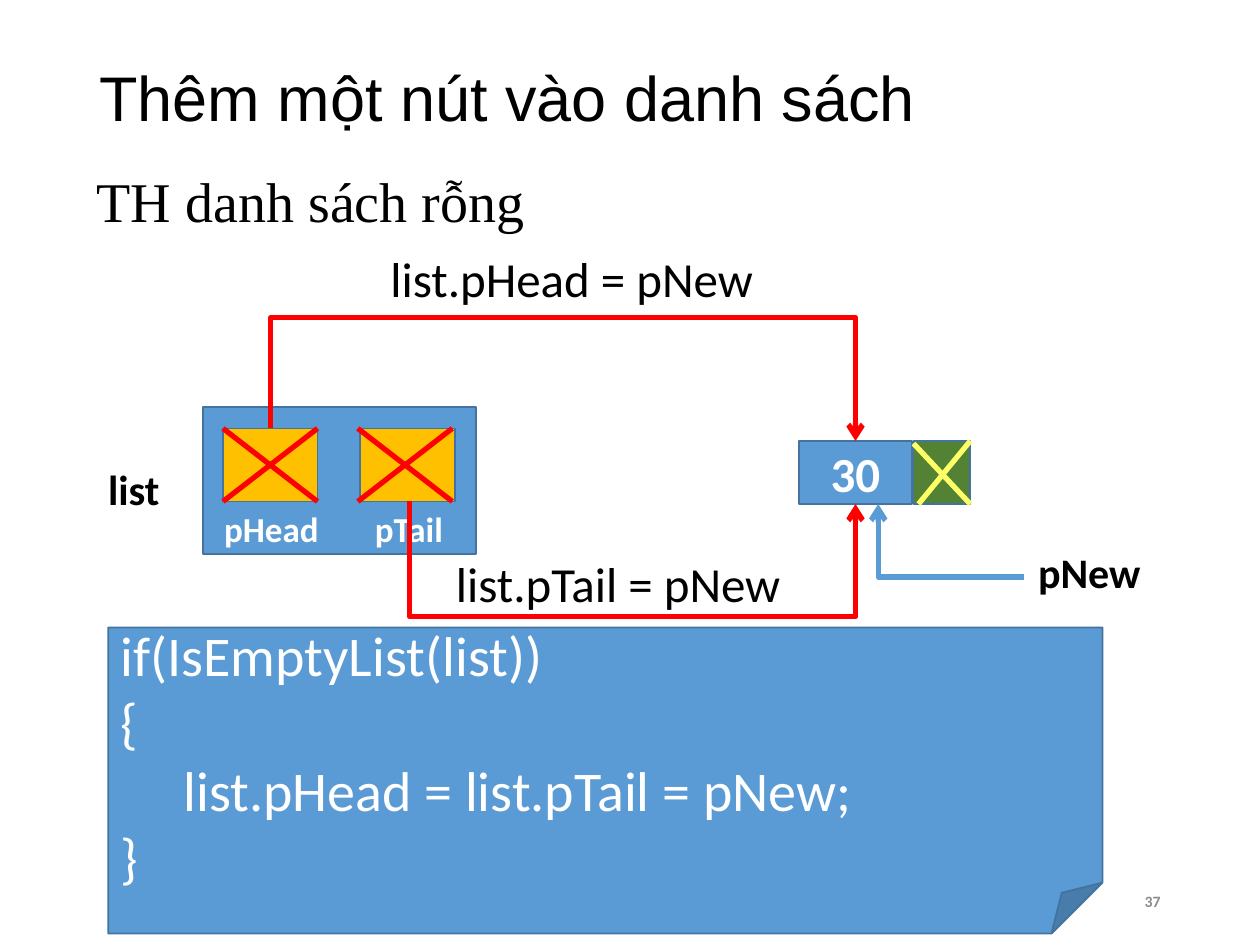
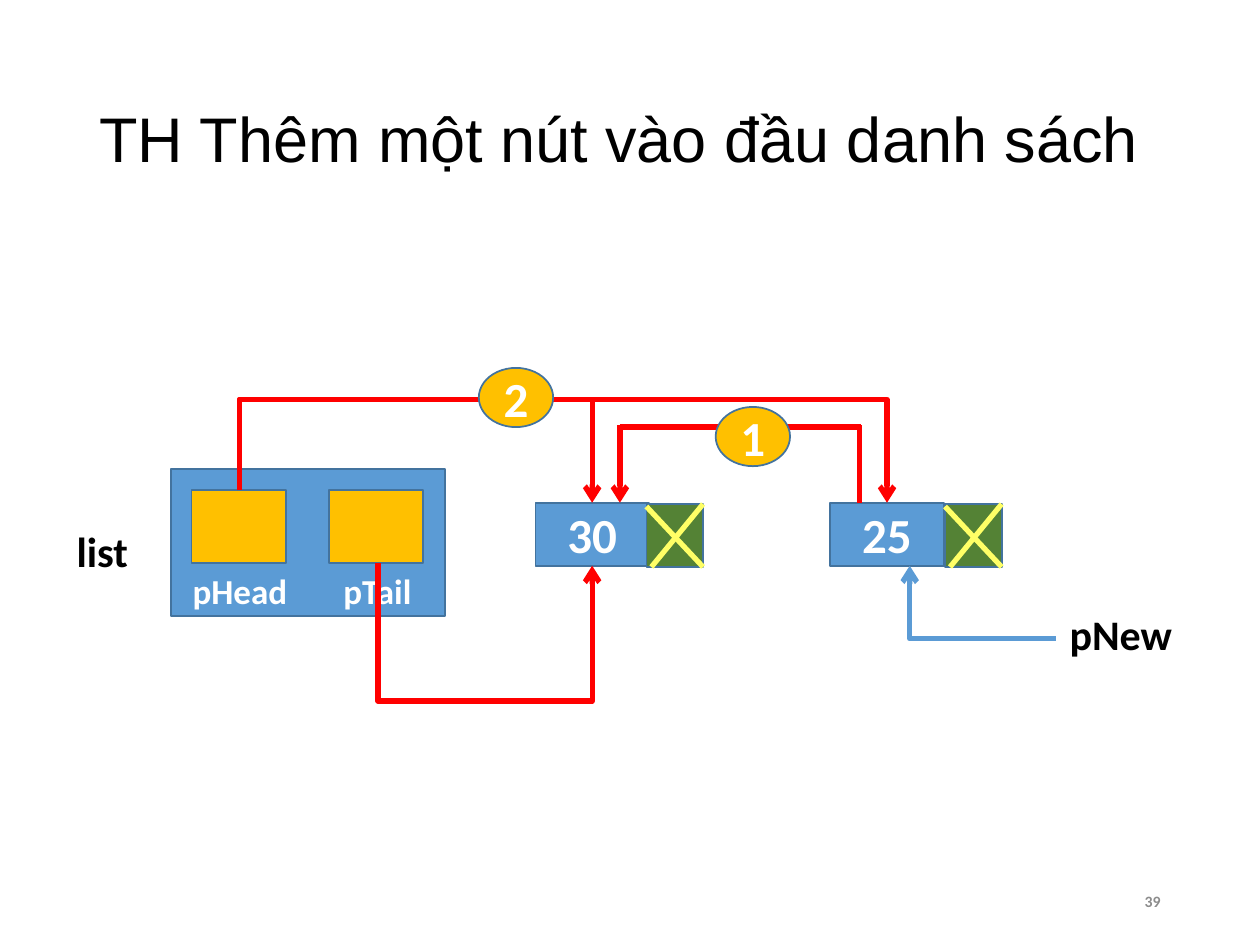
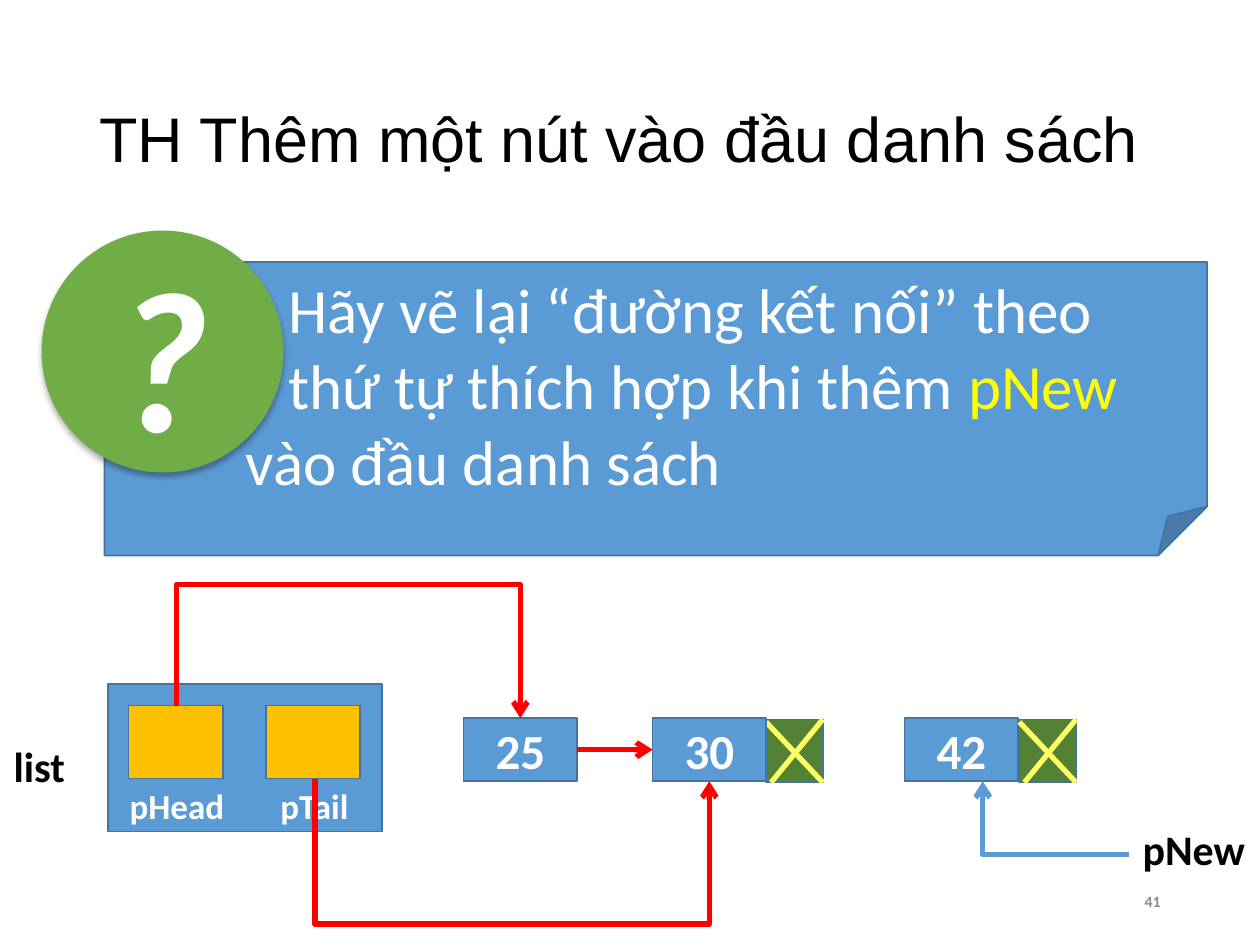
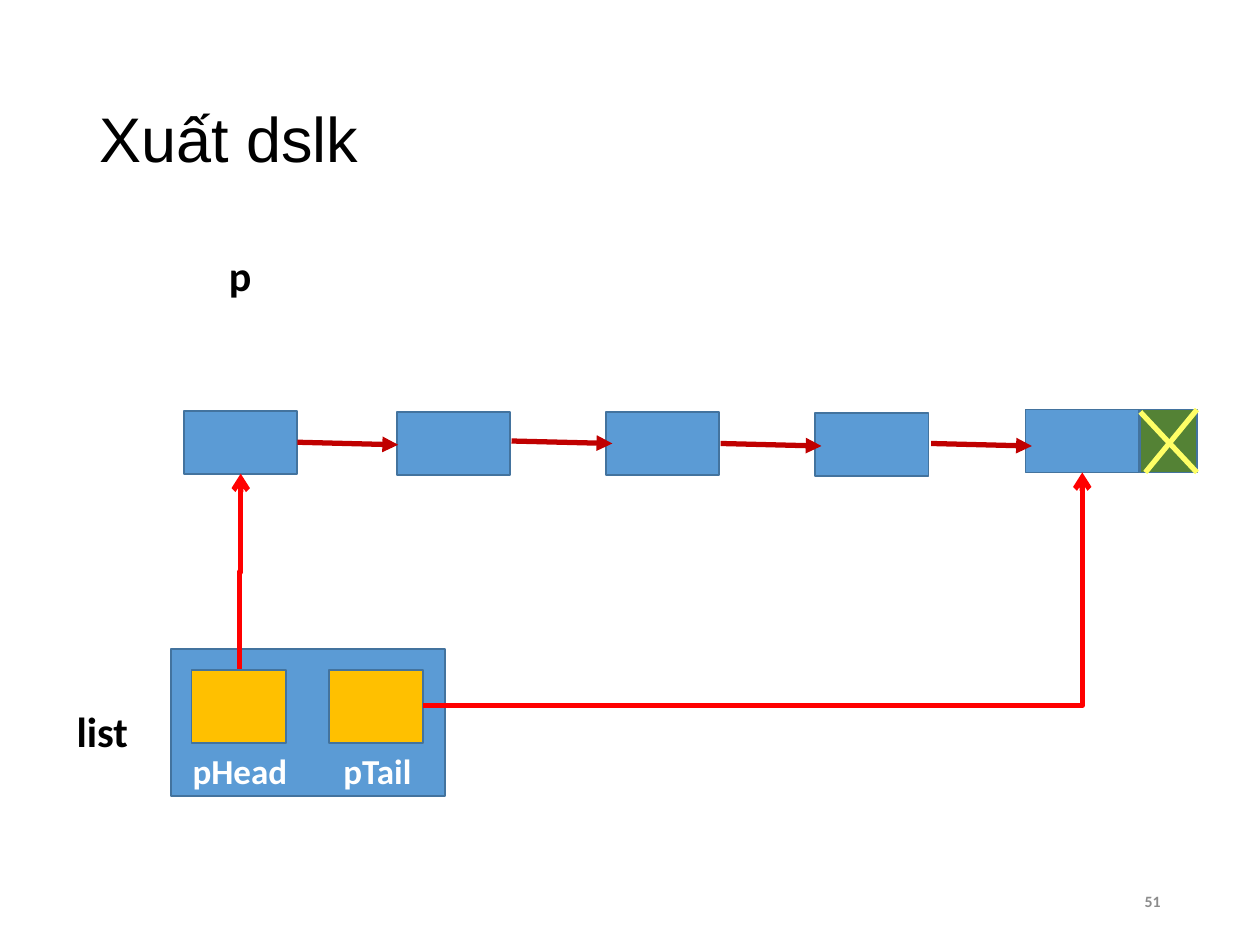
from dataclasses import dataclass

from lxml import etree
from pptx import Presentation, util as u
from pptx.dml.color import RGBColor
from pptx.enum import shapes, text
from pptx.oxml.ns import qn

PX = 9144


@dataclass(frozen=True)
class Theme:
    blue: str = "5B9BD5"
    edge: str = "43739E"
    gold: str = "FFC000"
    dark_green: str = "548235"
    green: str = "70AD47"
    red: str = "FF0000"
    dark_red: str = "C00000"
    pale_yellow: str = "FFFF66"
    yellow: str = "FFFF00"
    white: str = "FFFFFF"
    black: str = "000000"
    gray: str = "8C8C8C"
    body_font: str = "Calibri"
    title_font: str = "Arial"
    serif_font: str = "Times New Roman"
    title: int = 36
    code: int = 32
    value: int = 28
    label: int = 24
    slot: int = 20
    question: int = 115
    number: int = 9


T = Theme()


def rgb(value):
    return RGBColor.from_string(value)


def px(*values):
    return [u.Emu(v * PX) for v in values]


def write(sp, paragraphs, size=T.label, color=T.white, font=T.body_font,
          bold=False, italic=False, align="LEFT", anchor="MIDDLE",
          wrap=True, grow=False, spacing=None, indents=()):
    tf = sp.text_frame
    tf.word_wrap = wrap
    tf.vertical_anchor = text.MSO_ANCHOR[anchor]
    tf.auto_size = (text.MSO_AUTO_SIZE.SHAPE_TO_FIT_TEXT if grow
                    else text.MSO_AUTO_SIZE.NONE)
    if isinstance(paragraphs, str):
        paragraphs = [paragraphs]
    for i, runs in enumerate(paragraphs):
        p = tf.paragraphs[0] if i == 0 else tf.add_paragraph()
        p.alignment = text.PP_ALIGN[align]
        if spacing:
            p.line_spacing = spacing
        if indents:
            p._p.get_or_add_pPr().set("marL", str(indents[i] * PX))
        for words, tint in [(runs, color)] if isinstance(runs, str) else runs:
            r = p.add_run()
            r.text = words
            r.font.name = font
            r.font.size = u.Pt(size)
            r.font.bold = bold
            r.font.italic = italic
            r.font.color.rgb = rgb(tint)


def add_text(s, x, y, w, h, words, **style):
    write(s.shapes.add_textbox(*px(x, y, w, h)), words, **style)


def add_label(s, x, y, w, h, words, **style):
    style = dict(color=T.black, anchor="TOP", wrap=False, grow=True) | style
    add_text(s, x, y, w, h, words, **style)


def add_box(s, x, y, w, h, fill=T.blue, kind="RECTANGLE", edge=T.edge):
    sp = s.shapes.add_shape(shapes.MSO_SHAPE[kind], *px(x, y, w, h))
    sp.shadow.inherit = False
    sp.fill.solid()
    sp.fill.fore_color.rgb = rgb(fill)
    if edge:
        sp.line.color.rgb = rgb(edge)
        sp.line.width = u.Pt(1)
    else:
        sp.line.fill.background()
    return sp


def style_line(c, color, head):
    c.line.color.rgb = rgb(color)
    c.line.width = u.Pt(3)
    if head:
        etree.SubElement(c.line._get_or_add_ln(), qn("a:tailEnd"), type=head)
    etree.SubElement(c._element.spPr, qn("a:effectLst"))


def add_line(s, start, end, color=T.red, head=None):
    c = s.shapes.add_connector(shapes.MSO_CONNECTOR.STRAIGHT, *px(*start, *end))
    style_line(c, color, head)


def add_elbow(s, start, end, color=T.red, via_y=None):
    (x1, y1), (x2, y2) = start, end
    w, h = abs(x2 - x1), abs(y2 - y1)
    c = s.shapes.add_connector(shapes.MSO_CONNECTOR.ELBOW, *px(0, 0, w, h))
    xfrm = c._element.spPr.get_or_add_xfrm()
    geom = c._element.spPr.prstGeom
    if via_y is None:
        geom.set("prst", "bentConnector2")
        c.left, c.top = px(min(x1, x2), min(y1, y2))
        if x2 < x1:
            xfrm.rot = 180
        else:
            xfrm.flipV = True
    else:
        c.width, c.height = px(h, w)
        c.left = u.Emu((x1 + x2 - h) * PX // 2)
        c.top = u.Emu((y1 + y2 - w) * PX // 2)
        xfrm.rot = 270 if y2 > y1 else 90
        xfrm.flipH = True
        xfrm.flipV = y2 < y1
        geom.rewrite_guides([("adj1", round((via_y - y1) / (y2 - y1) * 100000))])
    style_line(c, color, "arrow")


def add_node(s, x, y, value=None):
    sp = add_box(s, x, y, 90, 50)
    if value:
        write(sp, value, size=T.value, bold=True, align="CENTER")


def add_null(s, x, y):
    add_box(s, x, y, 45, 50, T.dark_green)
    add_line(s, (x + 45, y), (x + 4, y + 50), T.pale_yellow)
    add_line(s, (x, y + 2), (x + 45, y + 50), T.pale_yellow)


def add_cross(s, x, y, w, h):
    add_line(s, (x, y), (x + w, y + h))
    add_line(s, (x, y + h), (x + w, y))


def add_list(s, x, y):
    add_box(s, x, y, 217, 117)
    slots = [("pHead", 16, 7, 100, "LEFT"), ("pTail", 125, 123, 81, "CENTER")]
    for name, slot_x, name_x, w, align in slots:
        add_box(s, x + slot_x, y + 17, 75, 58, T.gold)
        add_label(s, x + name_x, y + 75, w, 44, name, size=T.slot,
                  color=T.white, bold=True, align=align)
    add_label(s, x - 85, y + 40, 63, 50, "list", bold=True)


def add_new_pointer(s, x, y):
    add_elbow(s, (x + 116, y + 58), (x, y), T.blue)
    add_label(s, x + 117, y + 29, 103, 50, "pNew", bold=True)


def add_step(s, x, y, number):
    sp = add_box(s, x, y, 59, 47, T.gold, "OVAL")
    write(sp, number, size=T.value, bold=True, align="CENTER")


def add_shadow(sp):
    effects = sp._element.spPr.find(qn("a:effectLst"))
    shadow = etree.SubElement(effects, qn("a:outerShdw"),
                              blurRad=str(u.Pt(3.5)), dist=str(u.Pt(2.2)),
                              dir="5400000", algn="ctr", rotWithShape="0")
    color = etree.SubElement(shadow, qn("a:srgbClr"), val=T.black)
    etree.SubElement(color, qn("a:alpha"), val="32000")


def new_slide(prs, title, number, title_y=40):
    s = prs.slides.add_slide(prs.slide_layouts[6])
    add_text(s, 69, title_y, 862, 145, title, size=T.title, color=T.black,
             font=T.title_font, spacing=0.9)
    add_text(s, 662, 695, 269, 40, number, size=T.number, color=T.gray,
             bold=True, align="RIGHT")
    return s


def empty_list_slide(prs):
    s = new_slide(prs, "Thêm một nút vào danh sách", "37", title_y=8)
    add_text(s, 67, 133, 841, 75, "TH danh sách rỗng", size=T.code,
             color=T.black, font=T.serif_font, anchor="TOP", spacing=0.9)
    add_list(s, 161, 323)
    for x in (177, 284):
        add_cross(s, x, 340, 75, 58)
    add_node(s, 634, 350, "30")
    add_null(s, 725, 350)
    add_new_pointer(s, 697, 400)
    add_elbow(s, (215, 340), (679, 350), via_y=252)
    add_elbow(s, (325, 398), (679, 400), via_y=489)
    add_label(s, 300, 192, 316, 57, "list.pHead = pNew", size=T.value)
    add_label(s, 352, 434, 293, 57, "list.pTail = pNew", size=T.value)
    code = ["if(IsEmptyList(list))", "{", "\tlist.pHead = list.pTail = pNew;", "}"]
    write(add_box(s, 86, 498, 789, 243, kind="FOLDED_CORNER"), code, size=T.code)


def add_first_slide(prs, title):
    s = new_slide(prs, title, "39")
    add_list(s, 136, 372)
    add_node(s, 425, 399, "30")
    add_null(s, 513, 400)
    add_elbow(s, (190, 389), (470, 399), via_y=317)
    add_elbow(s, (300, 447), (470, 449), via_y=556)
    add_node(s, 659, 399, "25")
    add_null(s, 750, 400)
    add_new_pointer(s, 722, 449)
    add_line(s, (492, 337), (492, 399), head="arrow")
    add_line(s, (492, 339), (683, 339))
    add_line(s, (682, 399), (682, 337))
    add_elbow(s, (190, 389), (704, 399), via_y=317)
    add_step(s, 568, 323, "1")
    add_step(s, 380, 292, "2")


def exercise_slide(prs, title):
    s = new_slide(prs, title, "41")
    add_list(s, 86, 543)
    add_node(s, 368, 570, "25")
    add_null(s, 608, 571)
    add_elbow(s, (250, 618), (563, 620), via_y=733)
    add_node(s, 518, 570, "30")
    add_line(s, (458, 595), (518, 595), head="arrow")
    add_elbow(s, (140, 560), (413, 570), via_y=464)
    add_node(s, 718, 570, "42")
    add_null(s, 809, 571)
    add_new_pointer(s, 780, 620)
    task = ["Hãy vẽ lại “đường kết nối” theo",
            [("thứ tự thích hợp khi thêm ", T.white), ("pNew", T.yellow)],
            "vào đầu danh sách"]
    write(add_box(s, 83, 208, 875, 233, kind="FOLDED_CORNER"), task,
          size=T.title, indents=(136, 136, 102))
    sp = add_box(s, 33, 183, 192, 192, T.green, "OVAL", edge=None)
    add_shadow(sp)
    write(sp, "?", size=T.question, bold=True, italic=True, align="CENTER")


def print_list_slide(prs):
    s = new_slide(prs, "Xuất dslk", "51")
    for x, y in [(146, 326), (315, 327), (481, 327), (647, 328), (814, 325)]:
        add_node(s, x, y)
    for x, y in [(236, 351), (406, 350), (572, 352), (739, 352)]:
        add_line(s, (x, y), (x + 80, y + 2), T.dark_red, "triangle")
    add_list(s, 136, 515)
    add_elbow(s, (190, 531), (191, 376), via_y=454)
    add_elbow(s, (336, 560), (859, 375))
    add_null(s, 905, 325)
    add_label(s, 153, 193, 75, 50, "p", bold=True, align="CENTER", wrap=True)


def main():
    prs = Presentation()
    prs.slide_width, prs.slide_height = px(1000, 750)
    insert_title = "TH Thêm một nút vào đầu danh sách"
    empty_list_slide(prs)
    add_first_slide(prs, insert_title)
    exercise_slide(prs, insert_title)
    print_list_slide(prs)
    prs.save("out.pptx")


if __name__ == "__main__":
    main()
